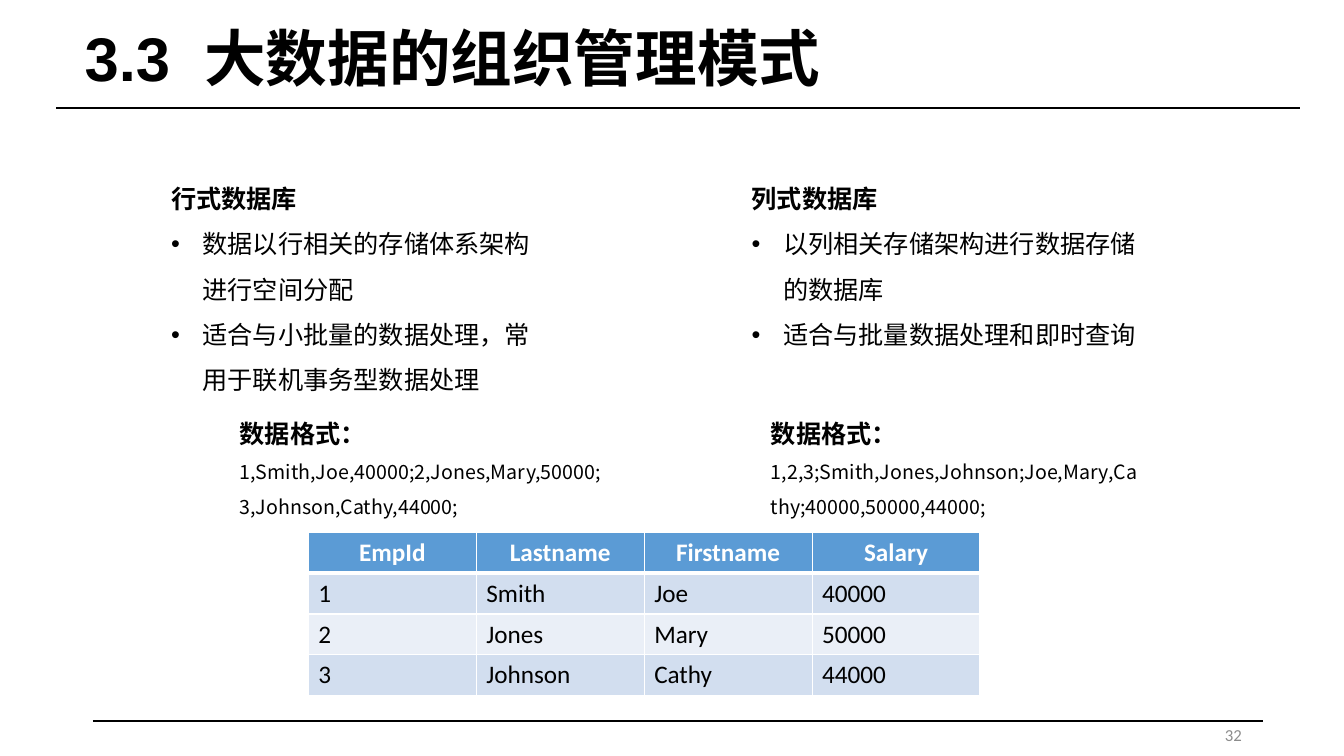
from dataclasses import dataclass

from lxml import etree
from pptx import Presentation
from pptx.dml.color import RGBColor
from pptx.enum.shapes import MSO_CONNECTOR
from pptx.enum.text import MSO_ANCHOR, MSO_AUTO_SIZE, PP_ALIGN
from pptx.oxml.ns import qn
from pptx.util import Cm, Pt

LEFT, CENTER, RIGHT = PP_ALIGN.LEFT, PP_ALIGN.CENTER, PP_ALIGN.RIGHT
TOP, MIDDLE = MSO_ANCHOR.TOP, MSO_ANCHOR.MIDDLE
FIXED_SIZE = MSO_AUTO_SIZE.NONE
STRAIGHT = MSO_CONNECTOR.STRAIGHT
TWO_CONTENT_LAYOUT = 3

CJK, LATIN, HEADING = "Noto Sans CJK SC", "Calibri", "Arial"
BLACK, WHITE, GREY = "000000", "FFFFFF", "8C8C8C"
HEADER_BLUE, BAND_DARK, BAND_LIGHT = "5B9BD5", "D2DEEF", "EAEFF7"
HANGING = 0.79


@dataclass
class Box:
    """Position and size in centimetres."""
    left: float
    top: float
    width: float
    height: float


@dataclass
class Database:
    name: str
    features: list[str]
    features_box: Box
    stored: str
    stored_box: Box


@dataclass
class Rule:
    start: float
    end: float
    y: float
    weight: float


DATABASES = [
    Database("行式数据库",
             ["数据以行相关的存储体系架构进行空间分配",
              "适合与小批量的数据处理，常用于联机事务型数据处理"],
             Box(4.06, 4.11, 9.8, 6.02),
             "1,Smith,Joe,40000;2,Jones,Mary,50000;3,Johnson,Cathy,44000;",
             Box(5.79, 10.03, 9.8, 3.2)),
    Database("列式数据库",
             ["以列相关存储架构进行数据存储的数据库",
              "适合与批量数据处理和即时查询"],
             Box(18.69, 4.11, 10.29, 4.75),
             "1,2,3;Smith,Jones,Johnson;Joe,Mary,Cathy;40000,50000,44000;",
             Box(19.18, 10.03, 9.8, 3.2)),
]
RULES = [Rule(1.42, 32.77, 2.72, 1.75), Rule(2.34, 31.83, 18.16, 1.25)]
EMPLOYEES = [
    ["EmpId", "Lastname", "Firstname", "Salary"],
    ["1", "Smith", "Joe", "40000"],
    ["2", "Jones", "Mary", "50000"],
    ["3", "Johnson", "Cathy", "44000"],
]
EMPLOYEES_BOX = Box(7.77, 13.41, 16.93, 4.11)


def rgb(code: str) -> RGBColor:
    return RGBColor.from_string(code)


def place(shape, box: Box) -> None:
    shape.left, shape.top = Cm(box.left), Cm(box.top)
    shape.width, shape.height = Cm(box.width), Cm(box.height)


def prepare_frame(frame, anchor=TOP) -> None:
    frame.word_wrap = True
    frame.auto_size = FIXED_SIZE
    frame.vertical_anchor = anchor


def add_text(paragraph, text: str, *, size: float = 18, font: str = CJK,
             color: str = BLACK, bold: bool = False, align=LEFT,
             line_spacing: float = 1.0, tracking: float = 0) -> None:
    """Append a run to a paragraph; tracking is extra letter spacing in points."""
    paragraph.alignment = align
    paragraph.line_spacing = line_spacing
    paragraph.space_before = Pt(0)
    run = paragraph.add_run()
    run.text = text
    run.font.size = Pt(size)
    run.font.bold = bold
    run.font.color.rgb = rgb(color)
    run.font.name = font
    properties = run._r.get_or_add_rPr()
    etree.SubElement(properties, qn("a:ea"), typeface=CJK)
    if tracking:
        properties.set("spc", str(round(tracking * 100)))


def set_bullet(paragraph, char: str = "") -> None:
    """Give a hanging bullet, or remove the inherited one if char is empty."""
    properties = paragraph._p.get_or_add_pPr()
    indent = Cm(HANGING) if char else 0
    properties.set("marL", str(indent))
    properties.set("indent", str(-indent))
    if char:
        etree.SubElement(properties, qn("a:buFont"), typeface=HEADING)
        etree.SubElement(properties, qn("a:buChar"), char=char)
    else:
        etree.SubElement(properties, qn("a:buNone"))


def add_rule(slide, rule: Rule) -> None:
    line = slide.shapes.add_connector(
        STRAIGHT, Cm(rule.start), Cm(rule.y), Cm(rule.end), Cm(rule.y))
    line.line.color.rgb = rgb(BLACK)
    line.line.width = Pt(rule.weight)
    etree.SubElement(line._element.spPr, qn("a:effectLst"))


def add_title(slide) -> None:
    title = slide.shapes.title
    place(title, Box(1.88, 0.38, 30.35, 2.34))
    prepare_frame(title.text_frame, MIDDLE)
    for text, tracking in [("3.3", 0), (" ", 12), ("大数据的组织管理模式", 0)]:
        add_text(title.text_frame.paragraphs[0], text, size=44, font=HEADING,
                 bold=True, line_spacing=0.9, tracking=tracking)


def add_textbox(slide, box: Box, anchor=TOP):
    shape = slide.shapes.add_textbox(
        Cm(box.left), Cm(box.top), Cm(box.width), Cm(box.height))
    prepare_frame(shape.text_frame, anchor)
    return shape.text_frame


def add_database(slide, database: Database, placeholder) -> None:
    place(placeholder, database.features_box)
    features = placeholder.text_frame
    prepare_frame(features)
    set_bullet(features.paragraphs[0])
    add_text(features.paragraphs[0], database.name, bold=True, line_spacing=1.5)
    for feature in database.features:
        paragraph = features.add_paragraph()
        set_bullet(paragraph, "•")
        add_text(paragraph, feature, line_spacing=1.5)

    stored = add_textbox(slide, database.stored_box)
    add_text(stored.paragraphs[0], "数据格式：", bold=True, line_spacing=1.5)
    add_text(stored.add_paragraph(), database.stored, size=14, line_spacing=1.5)


def set_borders(cell, top: float, bottom: float) -> None:
    properties = cell._tc.get_or_add_tcPr()
    for side, weight in [("L", 1), ("R", 1), ("T", top), ("B", bottom)]:
        line = etree.SubElement(properties, qn(f"a:ln{side}"), w=str(Pt(weight)))
        fill = etree.SubElement(line, qn("a:solidFill"))
        etree.SubElement(fill, qn("a:srgbClr"), val=WHITE)


def add_employees(slide) -> None:
    box = EMPLOYEES_BOX
    table = slide.shapes.add_table(
        len(EMPLOYEES), len(EMPLOYEES[0]), Cm(box.left), Cm(box.top),
        Cm(box.width), Cm(box.height)).table
    for row, values in enumerate(EMPLOYEES):
        header = row == 0
        band = HEADER_BLUE if header else BAND_DARK if row % 2 else BAND_LIGHT
        for column, value in enumerate(values):
            cell = table.cell(row, column)
            cell.vertical_anchor = MIDDLE
            set_borders(cell, top=3 if row == 1 else 1, bottom=3 if header else 1)
            cell.fill.solid()
            cell.fill.fore_color.rgb = rgb(band)
            add_text(cell.text_frame.paragraphs[0], value, font=LATIN,
                     color=WHITE if header else BLACK, bold=header,
                     align=CENTER if header else LEFT)


def main() -> None:
    deck = Presentation()
    deck.slide_width, deck.slide_height = Cm(33.87), Cm(19.05)
    slide = deck.slides.add_slide(deck.slide_layouts[TWO_CONTENT_LAYOUT])
    for rule in RULES:
        add_rule(slide, rule)
    add_title(slide)
    for number, database in enumerate(DATABASES, start=1):
        add_database(slide, database, slide.placeholders[number])
    add_employees(slide)
    page = add_textbox(slide, Box(23.93, 18.01, 7.62, 1.02), MIDDLE)
    add_text(page.paragraphs[0], "32", size=12, font=LATIN, color=GREY, align=RIGHT)
    deck.save("out.pptx")


if __name__ == "__main__":
    main()
